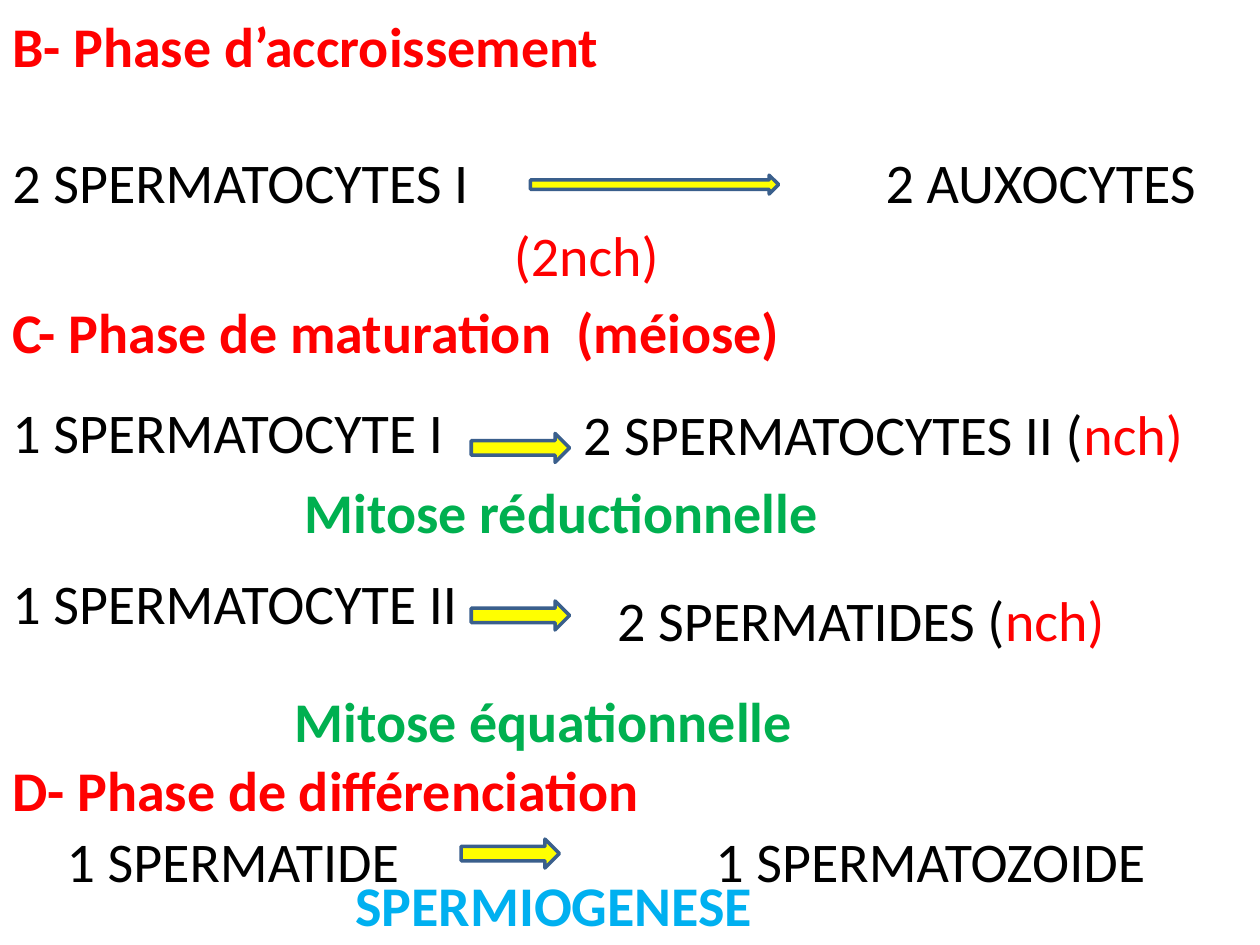
from pptx import Presentation
from pptx import util as u
from pptx.dml.color import RGBColor
from pptx.enum import shapes, text

BLACK = RGBColor(0x00, 0x00, 0x00)
RED = RGBColor(0xFF, 0x00, 0x00)
GREEN = RGBColor(0x00, 0xB0, 0x50)
BLUE = RGBColor(0x00, 0xB0, 0xF0)
YELLOW = RGBColor(0xFF, 0xFF, 0x00)
OUTLINE = RGBColor(0x3A, 0x5F, 0x8C)


class PhaseSlide:
    font = "Calibri"
    size = u.Pt(32)
    line_height = u.Inches(0.64)

    def __init__(self, prs):
        self.s = prs.slides.add_slide(prs.slide_layouts[6])

    def label(self, left, top, width, *parts, bold=False):
        """Add one line of text made of (wording, colour) parts."""
        box = self.s.shapes.add_textbox(
            u.Inches(left), u.Inches(top), u.Inches(width), self.line_height)
        tf = box.text_frame
        tf.word_wrap = False
        tf.auto_size = text.MSO_AUTO_SIZE.SHAPE_TO_FIT_TEXT
        p = tf.paragraphs[0]
        p.alignment = text.PP_ALIGN.LEFT
        p.font.name = self.font
        p.font.size = self.size
        p.font.bold = bold
        for wording, color in parts:
            r = p.add_run()
            r.text = wording
            r.font.color.rgb = color

    def heading(self, left, top, width, wording, color=RED):
        self.label(left, top, width, (wording, color), bold=True)

    def arrow(self, left, top, width=0.78, height=0.23):
        sp = self.s.shapes.add_shape(
            shapes.MSO_SHAPE.RIGHT_ARROW, u.Inches(left), u.Inches(top),
            u.Inches(width), u.Inches(height))
        sp.shadow.inherit = False
        sp.fill.solid()
        sp.fill.fore_color.rgb = YELLOW
        sp.line.color.rgb = OUTLINE
        sp.line.width = u.Pt(2)


def main():
    prs = Presentation()
    prs.slide_width, prs.slide_height = u.Inches(10), u.Inches(7.5)
    slide = PhaseSlide(prs)

    # Growth
    slide.heading(0, 0.04, 4.9, "B- Phase d’accroissement")
    slide.label(0, 1.12, 3.82, ("2 SPERMATOCYTES I", BLACK))
    slide.arrow(4.21, 1.39, 1.97, 0.15)
    slide.label(6.93, 1.12, 2.67, ("2 AUXOCYTES", BLACK))
    slide.label(3.98, 1.7, 1.37, ("(2nch)", RED))

    # Maturation
    slide.heading(0, 2.31, 6.38, "C- Phase de maturation  (méiose)")
    slide.label(0, 3.11, 3.66, ("1 SPERMATOCYTE I", BLACK))
    slide.arrow(3.74, 3.44)
    slide.label(4.53, 3.12, 5.01, ("2 SPERMATOCYTES II (", BLACK), ("nch)", RED))
    slide.heading(2.32, 3.74, 4.32, "Mitose réductionnelle", GREEN)
    slide.label(0, 4.46, 3.77, ("1 SPERMATOCYTE II", BLACK))
    slide.arrow(3.74, 4.77)
    slide.label(4.8, 4.6, 4.13, ("2 SPERMATIDES (", BLACK), ("nch)", RED))
    slide.heading(2.24, 5.4, 4.19, "Mitose équationnelle", GREEN)

    # Differentiation
    slide.heading(0, 5.95, 5.23, "D- Phase de différenciation")
    slide.label(0.43, 6.51, 2.85, ("1 SPERMATIDE", BLACK))
    slide.arrow(3.66, 6.66)
    slide.label(5.58, 6.51, 3.62, ("1 SPERMATOZOIDE", BLACK))
    slide.heading(2.72, 6.86, 3.39, "SPERMIOGENESE", BLUE)

    prs.save("out.pptx")


if __name__ == "__main__":
    main()
